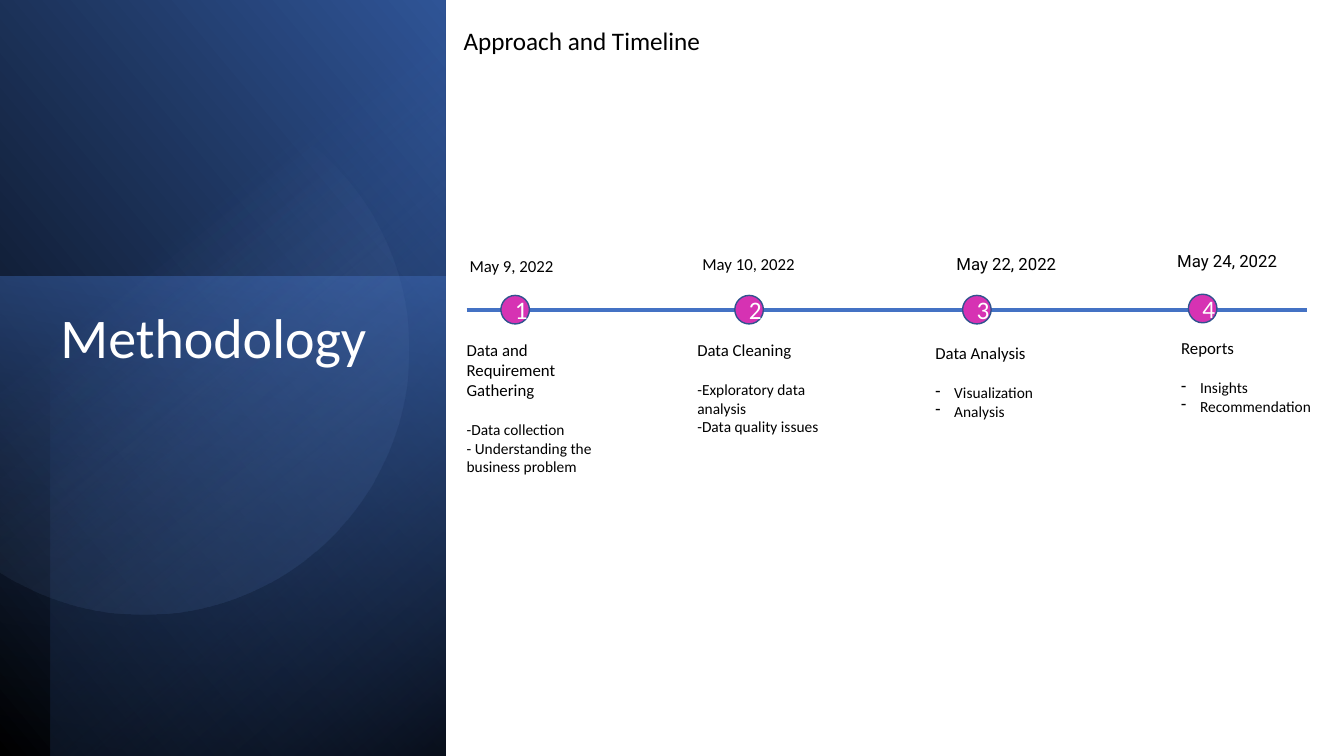
from dataclasses import dataclass
from math import acos, cos, degrees, radians, sin

from lxml.etree import SubElement
from pptx import Presentation
from pptx.dml.color import RGBColor
from pptx.enum.shapes import MSO_CONNECTOR, MSO_SHAPE
from pptx.enum.text import MSO_ANCHOR, MSO_AUTO_SIZE, PP_ALIGN
from pptx.oxml import parse_xml
from pptx.oxml.ns import nsdecls, qn
from pptx.util import Pt

WHITE, BLACK, BLUE, PINK = "FFFFFF", "000000", "4472C4", "D632B3"
LINE_Y = 221.2
DOT = 20.4
GAP = 14.6


@dataclass
class Stop:
    """A gradient stop: place and opacity in percent."""
    place: int
    hue: str
    alpha: int = 100


@dataclass
class Panel:
    """A gradient rectangle, placed by its frame before turning."""
    left: float
    top: float
    width: float
    height: float
    turn: float
    flip: bool
    angle: int
    stops: list[Stop]


@dataclass
class Step:
    """A milestone with the places of its dot, date and notes."""
    date: str
    name: str
    items: list[str]
    dot: tuple[float, float]
    date_at: tuple[float, float]
    note_at: tuple[float, float]
    font: str = "Calibri"
    bullet: bool = False


PANELS = [
    Panel(-111.6, 111.6, 541.4, 318.2, 90, True, 310,
          [Stop(0, BLACK), Stop(100, "2F5496")]),
    Panel(-12.2, 209.5, 342.7, 318.2, 270, False, 190,
          [Stop(0, BLUE, 50), Stop(100, "1F3864", 0)]),
    Panel(-92.9, 128.9, 540, 282.2, 270, True, 220,
          [Stop(0, BLACK, 59), Stop(69, BLUE, 0), Stop(100, BLUE, 0)]),
]
GLOW = [Stop(0, "8DA9DB", 0), Stop(39, "8DA9DB", 0), Stop(100, "2F5496", 26)]

STEPS = [
    Step("May 9, 2022", "Data and Requirement Gathering",
         ["-Data collection", "- Understanding the business problem"],
         (357.8, 211), (328.3, 179.3), (326.2, 239)),
    Step("May 10, 2022", "Data Cleaning",
         ["-Exploratory data analysis", "-Data quality issues"],
         (524.9, 211), (494.6, 177.8), (491, 239)),
    Step("May 22, 2022", "Data Analysis", ["Visualization", "Analysis"],
         (687.6, 211), (676.1, 177.8), (661, 241.2), "Roboto", True),
    Step("May 24, 2022", "Reports", ["Insights", "Recommendation"],
         (848.9, 210.2), (833.8, 175.7), (836.6, 237.6), "Roboto", True),
]


def color(code: str) -> RGBColor:
    return RGBColor.from_string(code)


def blend(shape, stops: list[Stop], angle: int) -> None:
    """Fill a shape with a linear gradient and drop its line."""
    shape.shadow.inherit = False
    shape.line.fill.background()
    shape.fill.background()
    marks = "".join(
        f'<a:gs pos="{s.place * 1000}"><a:srgbClr val="{s.hue}">'
        f'<a:alpha val="{s.alpha * 1000}"/></a:srgbClr></a:gs>' for s in stops)
    grad = parse_xml(
        f'<a:gradFill {nsdecls("a")} rotWithShape="1"><a:gsLst>{marks}</a:gsLst>'
        f'<a:lin ang="{angle * 60000}" scaled="0"/></a:gradFill>')
    props = shape._element.spPr
    props.replace(props.find(qn("a:noFill")), grad)


def write(para, text: str, *, size: float, font: str = "Calibri",
          hue: str = BLACK, align=PP_ALIGN.LEFT, before: float = 0,
          bullet: bool = False) -> None:
    run = para.add_run()
    run.text = text
    run.font.size = Pt(size)
    run.font.name = font
    run.font.color.rgb = color(hue)
    para.alignment = align
    if before:
        para.space_before = Pt(before)
    if bullet:
        props = para._p.get_or_add_pPr()
        props.set("marL", str(Pt(13.5)))
        props.set("indent", str(Pt(-13.5)))
        SubElement(props, qn("a:buFontTx"))
        SubElement(props, qn("a:buChar")).set("char", "-")


def label(slide, left: float, top: float, width: float, height: float):
    """Add a wrapping text box and return its text frame."""
    box = slide.shapes.add_textbox(Pt(left), Pt(top), Pt(width), Pt(height))
    frame = box.text_frame
    frame.word_wrap = True
    frame.auto_size = MSO_AUTO_SIZE.SHAPE_TO_FIT_TEXT
    return frame


def add_panel(slide, panel: Panel) -> None:
    shape = slide.shapes.add_shape(
        MSO_SHAPE.RECTANGLE, Pt(panel.left), Pt(panel.top),
        Pt(panel.width), Pt(panel.height))
    shape.rotation = panel.turn
    if panel.flip:
        shape._element.spPr.find(qn("a:xfrm")).set("flipH", "1")
    blend(shape, panel.stops, panel.angle)


def add_glow(slide) -> None:
    """Draw the disc that the slide's left edge cuts off."""
    mid_x, mid_y, radius, turn, count = 130.3, 283.7, 189.4, 101.6, 120
    half = degrees(acos(-103 / radius))
    arc = [radians(half * (2 * i / count - 1) - turn) for i in range(count + 1)]
    points = [(Pt(mid_x + radius * cos(a)), Pt(mid_y + radius * sin(a)))
              for a in arc]
    pen = slide.shapes.build_freeform(*points[0])
    pen.add_line_segments(points[1:], close=True)
    disc = pen.convert_to_shape()
    disc.rotation = turn
    blend(disc, GLOW, 310)


def add_title(slide) -> None:
    title = slide.shapes.title
    slide.shapes._spTree.append(title._element)
    title.left, title.top = Pt(36), Pt(218.2)
    title.width, title.height = Pt(242.6), Pt(241.9)
    frame = title.text_frame
    frame.vertical_anchor = MSO_ANCHOR.TOP
    frame.auto_size = MSO_AUTO_SIZE.NONE
    para = frame.paragraphs[0]
    write(para, "Methodology", size=40, hue=WHITE)
    para.line_spacing = 0.9


def add_axis(slide) -> None:
    axis = slide.shapes.add_connector(
        MSO_CONNECTOR.STRAIGHT, Pt(333.4), Pt(LINE_Y), Pt(933.8), Pt(LINE_Y))
    axis.line.color.rgb = color(BLUE)
    axis.line.width = Pt(3)
    SubElement(axis._element.spPr, qn("a:effectLst"))


def add_step(slide, number: int, step: Step) -> None:
    dot = slide.shapes.add_shape(
        MSO_SHAPE.OVAL, *map(Pt, step.dot), Pt(DOT), Pt(DOT))
    dot.shadow.inherit = False
    dot.fill.solid()
    dot.fill.fore_color.rgb = color(PINK)
    dot.line.color.rgb = color("31538F")
    dot.line.width = Pt(1)
    dot.text_frame.vertical_anchor = MSO_ANCHOR.MIDDLE
    write(dot.text_frame.paragraphs[0], str(number), size=18, hue=WHITE,
          align=PP_ALIGN.CENTER)

    date = label(slide, *step.date_at, 105.1, 21.6)
    write(date.paragraphs[0], step.date, size=12, font=step.font)

    note = label(slide, *step.note_at, 108.7, 94.3)
    write(note.paragraphs[0], step.name, size=12)
    for i, item in enumerate(step.items):
        write(note.add_paragraph(), item, size=11, bullet=step.bullet,
              before=0 if i else GAP)


def main() -> None:
    deck = Presentation()
    deck.slide_width, deck.slide_height = Pt(960), Pt(540)
    slide = deck.slides.add_slide(deck.slide_layouts[5])
    for panel in PANELS:
        add_panel(slide, panel)
    add_glow(slide)
    add_title(slide)
    add_axis(slide)
    head = label(slide, 324, 14.4, 221.8, 28.8)
    write(head.paragraphs[0], "Approach and Timeline", size=18)
    for number, step in enumerate(STEPS, 1):
        add_step(slide, number, step)
    deck.save("out.pptx")


if __name__ == "__main__":
    main()
